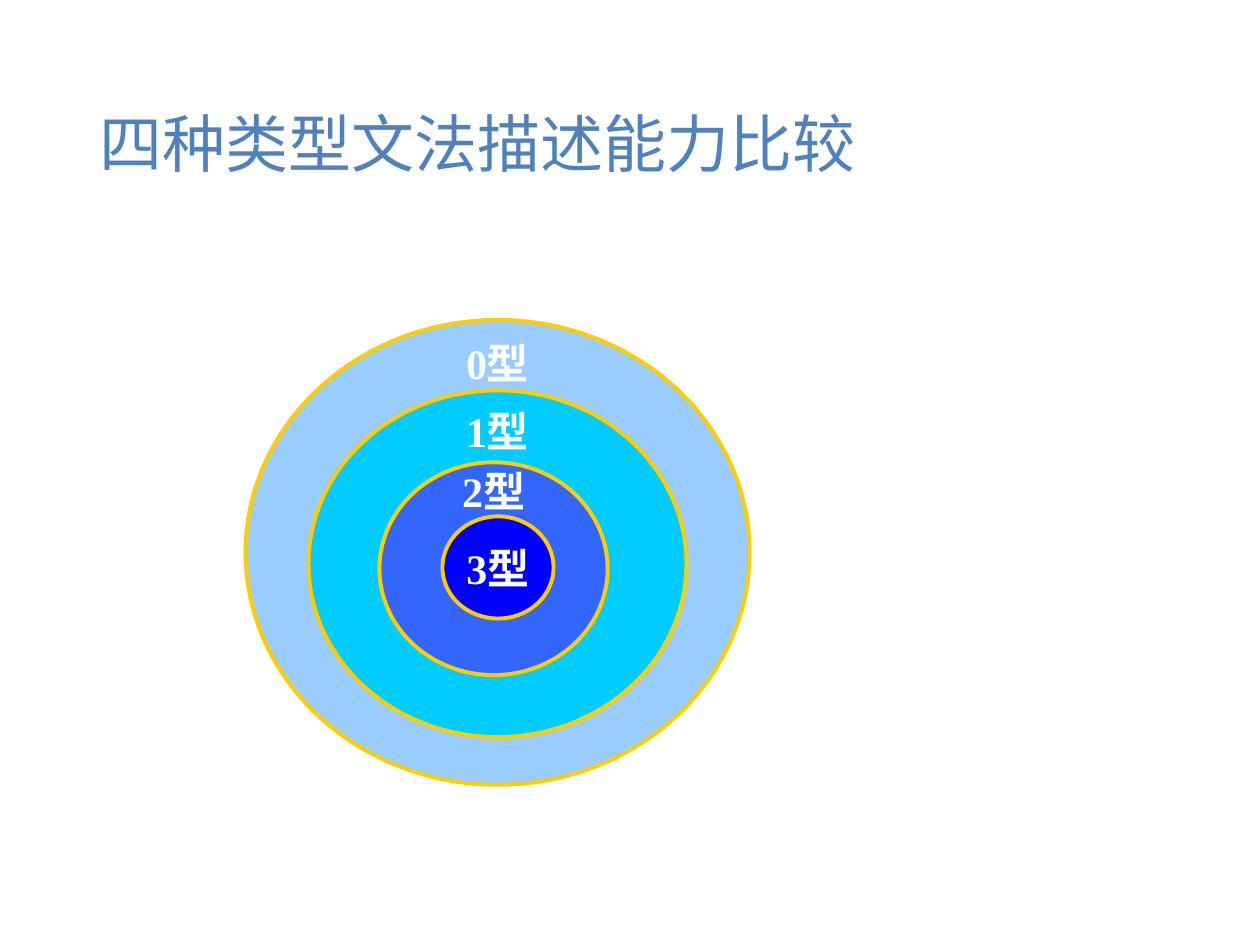
"""Build a slide of nested ellipses comparing four grammar types."""
from dataclasses import dataclass

from lxml.etree import SubElement
from pptx import Presentation
from pptx.dml.color import RGBColor
from pptx.enum.shapes import MSO_SHAPE
from pptx.enum.text import MSO_ANCHOR, PP_ALIGN
from pptx.oxml.ns import qn
from pptx.slide import Slide
from pptx.util import Cm, Pt

CJK_FONT = "Noto Sans CJK SC"
LABEL_WIDTH, LABEL_HEIGHT = 2.4, 1.2


@dataclass
class Grammar:
    """A grammar type as an ellipse, with its label height, in centimetres."""
    label: str
    fill: str
    left: float
    top: float
    width: float
    height: float
    label_middle: float


GRAMMARS = [
    Grammar("0型", "99CCFF", 4.95, 6.45, 10.16, 9.37, 7.32),
    Grammar("1型", "00CCFF", 6.22, 7.87, 7.62, 6.99, 8.68),
    Grammar("2型", "3366FF", 7.65, 9.32, 4.60, 4.29, 9.90),
    Grammar("3型", "0000FF", 8.92, 10.41, 2.24, 2.06, 11.44),
]


def color(value: str) -> RGBColor:
    """Turn a hex string into a colour."""
    return RGBColor.from_string(value)


def add_text(slide: Slide, text: str, box: tuple[float, float, float, float],
             size: int, font_name: str, hex_color: str, bold: bool,
             align: PP_ALIGN) -> None:
    """Add one line of vertically centred text."""
    frame = slide.shapes.add_textbox(*map(Cm, box)).text_frame
    frame.word_wrap = True
    frame.vertical_anchor = MSO_ANCHOR.MIDDLE
    paragraph = frame.paragraphs[0]
    paragraph.text = text
    paragraph.alignment = align
    font = paragraph.font
    font.size, font.name, font.bold = Pt(size), font_name, bold
    font.color.rgb = color(hex_color)
    run_properties = paragraph.runs[0].font
    run_properties.name = font_name
    SubElement(paragraph.runs[0]._r.get_or_add_rPr(), qn("a:ea"), typeface=CJK_FONT)


def add_grammar(slide: Slide, grammar: Grammar) -> None:
    """Draw the ellipse of a grammar type and its label."""
    ellipse = slide.shapes.add_shape(
        MSO_SHAPE.OVAL, Cm(grammar.left), Cm(grammar.top),
        Cm(grammar.width), Cm(grammar.height))
    ellipse.shadow.inherit = False
    ellipse.fill.solid()
    ellipse.fill.fore_color.rgb = color(grammar.fill)
    ellipse.line.color.rgb = color("FFCC00")
    ellipse.line.width = Pt(2.25)
    label_left = grammar.left + (grammar.width - LABEL_WIDTH) / 2
    label_top = grammar.label_middle - LABEL_HEIGHT / 2
    add_text(slide, grammar.label, (label_left, label_top, LABEL_WIDTH, LABEL_HEIGHT),
             24, "Times New Roman", "FFFFFF", True, PP_ALIGN.CENTER)


def main() -> None:
    """Build and save the slide."""
    presentation = Presentation()
    presentation.slide_width, presentation.slide_height = Cm(25.4), Cm(19.05)
    slide = presentation.slides.add_slide(presentation.slide_layouts[6])
    add_text(slide, "四种类型文法描述能力比较", (1.75, 1.02, 21.92, 3.68),
             36, CJK_FONT, "4F81BD", False, PP_ALIGN.LEFT)
    for grammar in GRAMMARS:
        add_grammar(slide, grammar)
    presentation.save("out.pptx")


main()
